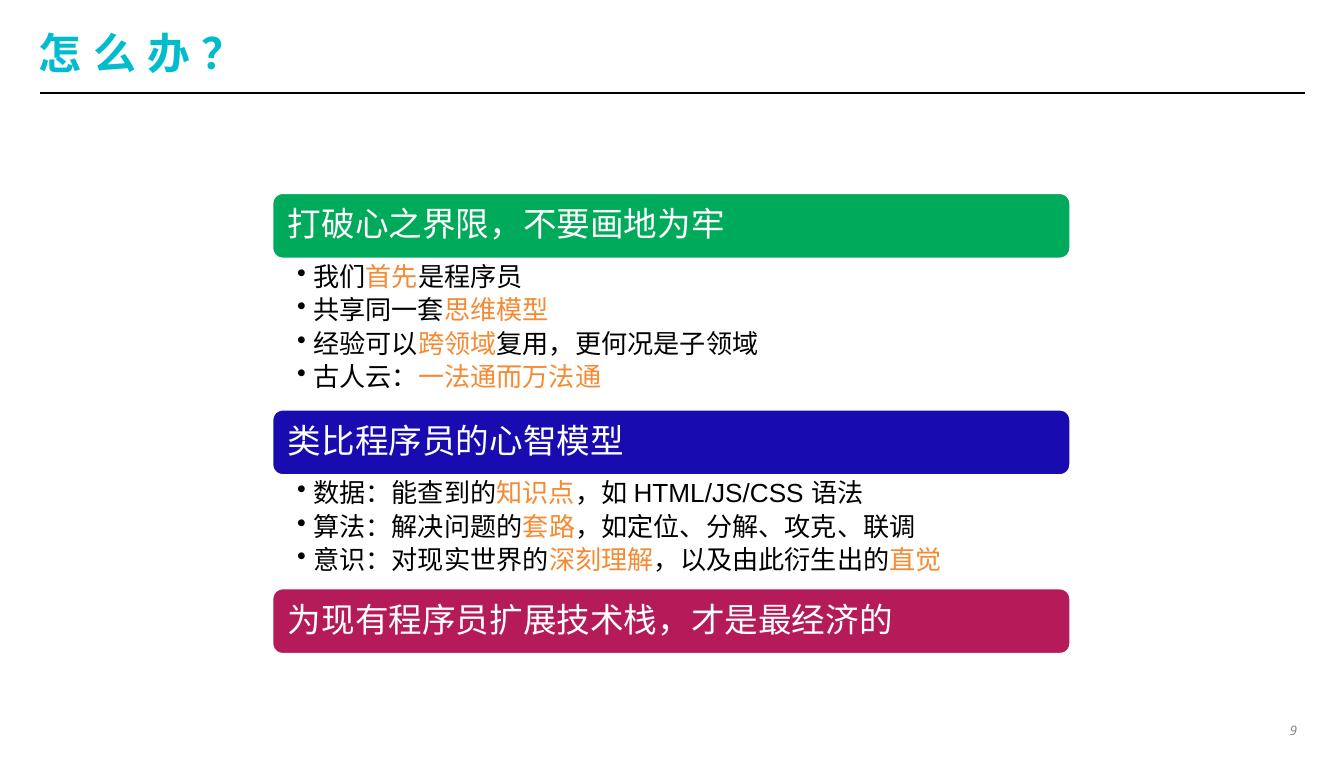
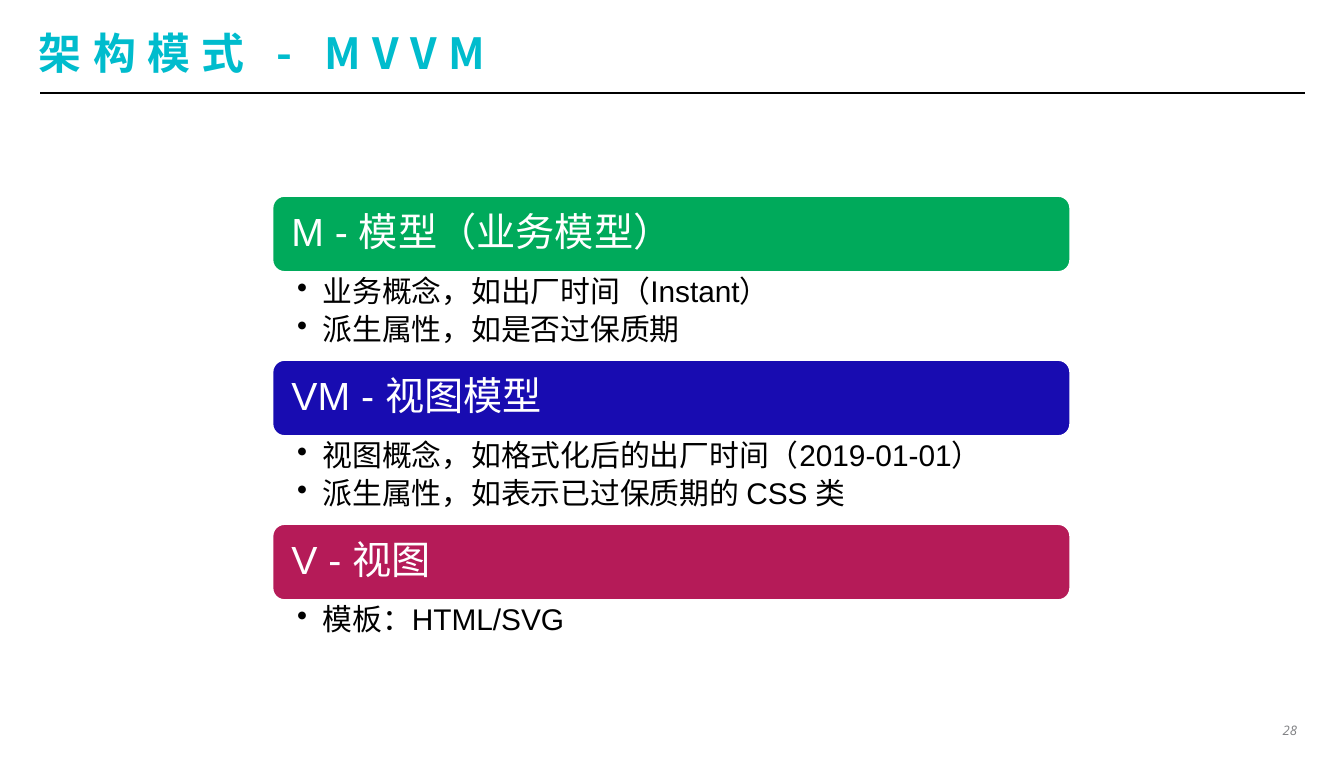
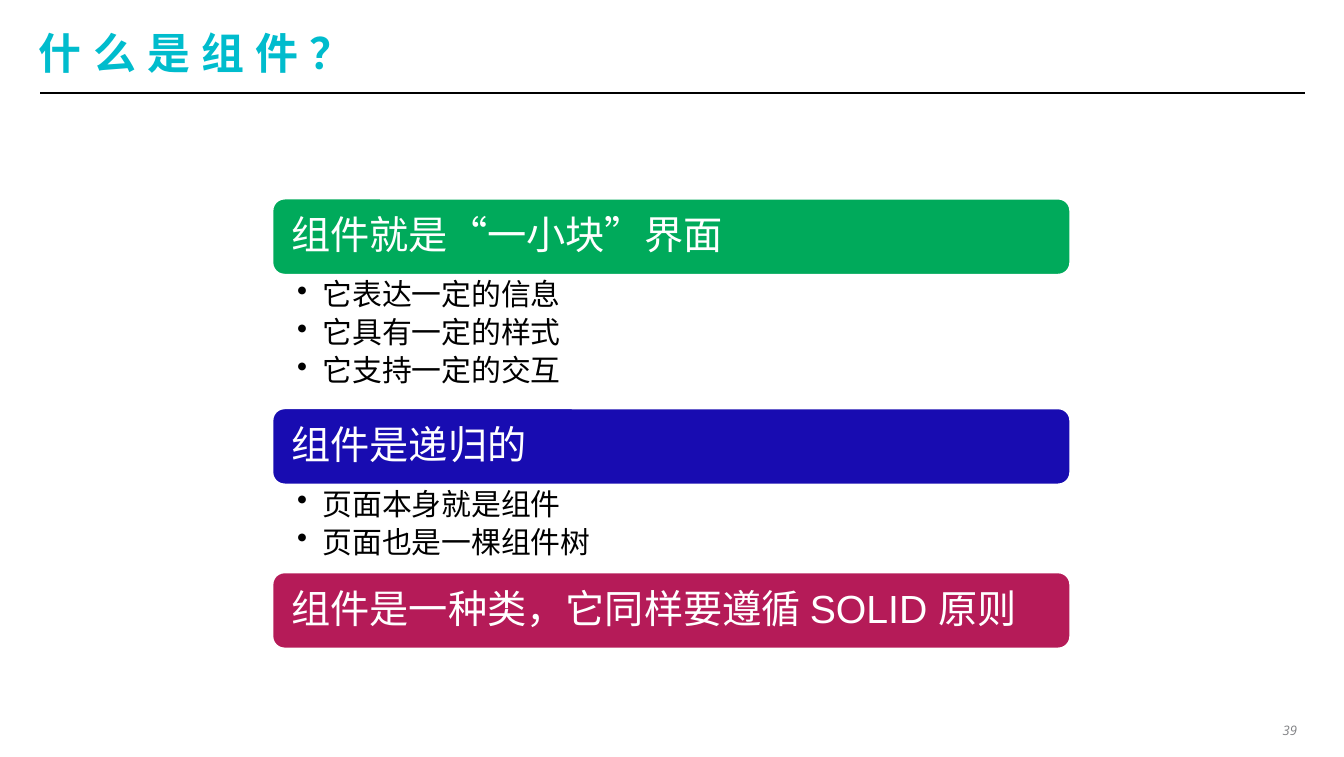
from lxml.etree import SubElement
from pptx import Presentation
from pptx.dml.color import RGBColor
from pptx.enum.lang import MSO_LANGUAGE_ID
from pptx.enum.shapes import MSO_CONNECTOR, MSO_SHAPE
from pptx.enum.text import MSO_ANCHOR, MSO_AUTO_SIZE, PP_ALIGN
from pptx.oxml.ns import qn
from pptx.util import Inches, Pt

COLORS = {
    "title": "00BCCD", "rule": "000000", "number": "808184",
    "text": "000000", "highlight": "F58A33", "white": "FFFFFF",
}
BAND_COLORS = ("00AA5B", "180CB1", "B51B58")
TITLE_FONT = {"name": "Noto Sans CJK JP", "size": Pt(23), "bold": True}
NUMBER_FONT = {"name": "Open Sans", "size": Pt(7), "italic": True}

# The grid has 100 columns across the slide; rows are as tall as columns are wide.
CELL = Inches(0.1)
BAND_LEFT, BAND_WIDTH = 20.2, 59.5

LARGE = {"band": 5.8, "heading": 21, "heading_inset": 1.2,
         "list": 16, "list_indent": 1.9, "right_inset": 1.6}
COMPACT = {"band": 5.0, "heading": 18, "heading_inset": 1.0,
           "list": 14, "list_indent": 1.2, "right_inset": 1.4}

# Each section is a heading, the rows its list takes, and the list; *stars* highlight.
SLIDES = [
    {"title": "怎么办？", "number": 9, "top": 14.3, "style": COMPACT, "sections": [
        ("打破心之界限，不要画地为牢", 11.1, [
            "我们*首先*是程序员",
            "共享同一套*思维模型*",
            "经验可以*跨领域*复用，更何况是子领域",
            "古人云：*一法通而万法通*"]),
        ("类比程序员的心智模型", 8.3, [
            "数据：能查到的*知识点*，如 HTML/JS/CSS 语法",
            "算法：解决问题的*套路*，如定位、分解、攻克、联调",
            "意识：对现实世界的*深刻理解*，以及由此衍生出的*直觉*"]),
        ("为现有程序员扩展技术栈，才是最经济的", 0, []),
    ]},
    {"title": "架构模式 - MVVM", "number": 28, "top": 14.5, "style": LARGE, "sections": [
        ("M - 模型（业务模型）", 6.4, [
            "业务概念，如出厂时间（Instant）",
            "派生属性，如是否过保质期"]),
        ("VM - 视图模型", 6.4, [
            "视图概念，如格式化后的出厂时间（2019-01-01）",
            "派生属性，如表示已过保质期的 CSS 类"]),
        ("V - 视图", 3.8, ["模板：HTML/SVG"]),
    ]},
    {"title": "什么是组件？", "number": 39, "top": 14.7, "style": LARGE, "sections": [
        ("组件就是“一小块”界面", 9.8, [
            "它表达一定的信息",
            "它具有一定的样式",
            "它支持一定的交互"]),
        ("组件是递归的", 6.4, [
            "页面本身就是组件",
            "页面也是一棵组件树"]),
        ("组件是一种类，它同样要遵循 SOLID 原则", 0, []),
    ]},
]


def cells(*counts):
    return [round(count * CELL) for count in counts]


def color(name):
    return RGBColor.from_string(COLORS[name])


def set_attributes(target, values):
    for name, value in values.items():
        setattr(target, name, value)


def add_run(paragraph, text, font_values, color_name):
    run = paragraph.add_run()
    run.text = text
    set_attributes(run.font, font_values)
    run.font.language_id = MSO_LANGUAGE_ID.SIMPLIFIED_CHINESE
    run.font.color.rgb = color(color_name)
    return run


def format_frame(frame, left, top, right, bottom, anchor=MSO_ANCHOR.TOP, wrap=True):
    """Set the insets, in cells, and the flow of a text frame."""
    left, top, right, bottom = cells(left, top, right, bottom)
    set_attributes(frame, {
        "margin_left": left, "margin_top": top, "margin_right": right,
        "margin_bottom": bottom, "vertical_anchor": anchor,
        "word_wrap": wrap, "auto_size": MSO_AUTO_SIZE.NONE,
    })


def add_layout_rule(layout, slide):
    """Draw the line under the title and hand it to the layout all slides share."""
    rule = slide.shapes.add_connector(MSO_CONNECTOR.STRAIGHT, *cells(3, 6.9, 97.1, 6.9))
    rule.line.color.rgb = color("rule")
    rule.line.width = Pt(1)
    SubElement(rule.element.spPr, qn("a:effectLst"))
    layout.shapes.element.append(rule.element)


def set_title(slide, text):
    title = slide.shapes.title
    left, top, width, height = cells(2.9, 1.8, 94.1, 4.2)
    set_attributes(title, {"left": left, "top": top, "width": width, "height": height})
    format_frame(title.text_frame, 0, 0, 0, 0, MSO_ANCHOR.MIDDLE)
    paragraph = title.text_frame.paragraphs[0]
    paragraph.alignment = PP_ALIGN.LEFT
    run = add_run(paragraph, text, TITLE_FONT, "title")
    properties = run.font._element if hasattr(run.font, "_element") else run._r.get_or_add_rPr()
    properties.set("spc", "600")
    SubElement(properties, qn("a:ea"), typeface=TITLE_FONT["name"])


def add_number(slide, number):
    box = slide.shapes.add_textbox(*cells(95, 53.4, 2.1, 1.7))
    format_frame(box.text_frame, 0.6, 0.3, 0.6, 0.3, wrap=False)
    paragraph = box.text_frame.paragraphs[0]
    paragraph.alignment = PP_ALIGN.RIGHT
    add_run(paragraph, str(number), NUMBER_FONT, "number")


def add_band(slide, top, heading, fill, style):
    band = slide.shapes.add_shape(
        MSO_SHAPE.ROUNDED_RECTANGLE, *cells(BAND_LEFT, top, BAND_WIDTH, style["band"]))
    band.shadow.inherit = False
    band.fill.solid()
    band.fill.fore_color.rgb = RGBColor.from_string(fill)
    band.line.color.rgb = color("white")
    band.line.width = Pt(2)
    inset = style["heading_inset"]
    format_frame(band.text_frame, inset, 0, inset, 0, MSO_ANCHOR.MIDDLE)
    paragraph = band.text_frame.paragraphs[0]
    set_attributes(paragraph, {"alignment": PP_ALIGN.LEFT, "line_spacing": 0.9})
    add_run(paragraph, heading, {"name": "Arial", "size": Pt(style["heading"])}, "white")


def format_bullet(paragraph, indent):
    set_attributes(paragraph, {"level": 1, "line_spacing": 0.9})
    properties = paragraph._p.get_or_add_pPr()
    properties.set("marL", str(indent))
    properties.set("indent", str(-indent))
    SubElement(SubElement(properties, qn("a:spcAft")), qn("a:spcPct"), val="20000")
    SubElement(properties, qn("a:buChar"), char="•")


def add_list(slide, top, height, items, style):
    box = slide.shapes.add_textbox(*cells(BAND_LEFT, top, BAND_WIDTH, height))
    frame = box.text_frame
    format_frame(frame, 1.9, 0.3, style["right_inset"], 0.3)
    [indent] = cells(style["list_indent"])
    font_values = {"name": "Arial", "size": Pt(style["list"])}
    for index, item in enumerate(items):
        paragraph = frame.add_paragraph() if index else frame.paragraphs[0]
        format_bullet(paragraph, indent)
        for position, part in enumerate(item.split("*")):
            if part:
                add_run(paragraph, part, font_values, "highlight" if position % 2 else "text")


def add_sections(slide, top, sections, style):
    """Stack the bands, each followed by its list."""
    for (heading, list_height, items), fill in zip(sections, BAND_COLORS):
        add_band(slide, top, heading, fill, style)
        top += style["band"]
        if items:
            add_list(slide, top, list_height, items, style)
        top += list_height


def main():
    presentation = Presentation()
    presentation.slide_width, presentation.slide_height = Inches(10), Inches(5.63)
    layout = presentation.slide_layouts.get_by_name("Title Only")
    for index, content in enumerate(SLIDES):
        slide = presentation.slides.add_slide(layout)
        if index == 0:
            add_layout_rule(layout, slide)
        set_title(slide, content["title"])
        add_number(slide, content["number"])
        add_sections(slide, content["top"], content["sections"], content["style"])
    presentation.save("out.pptx")


if __name__ == "__main__":
    main()
